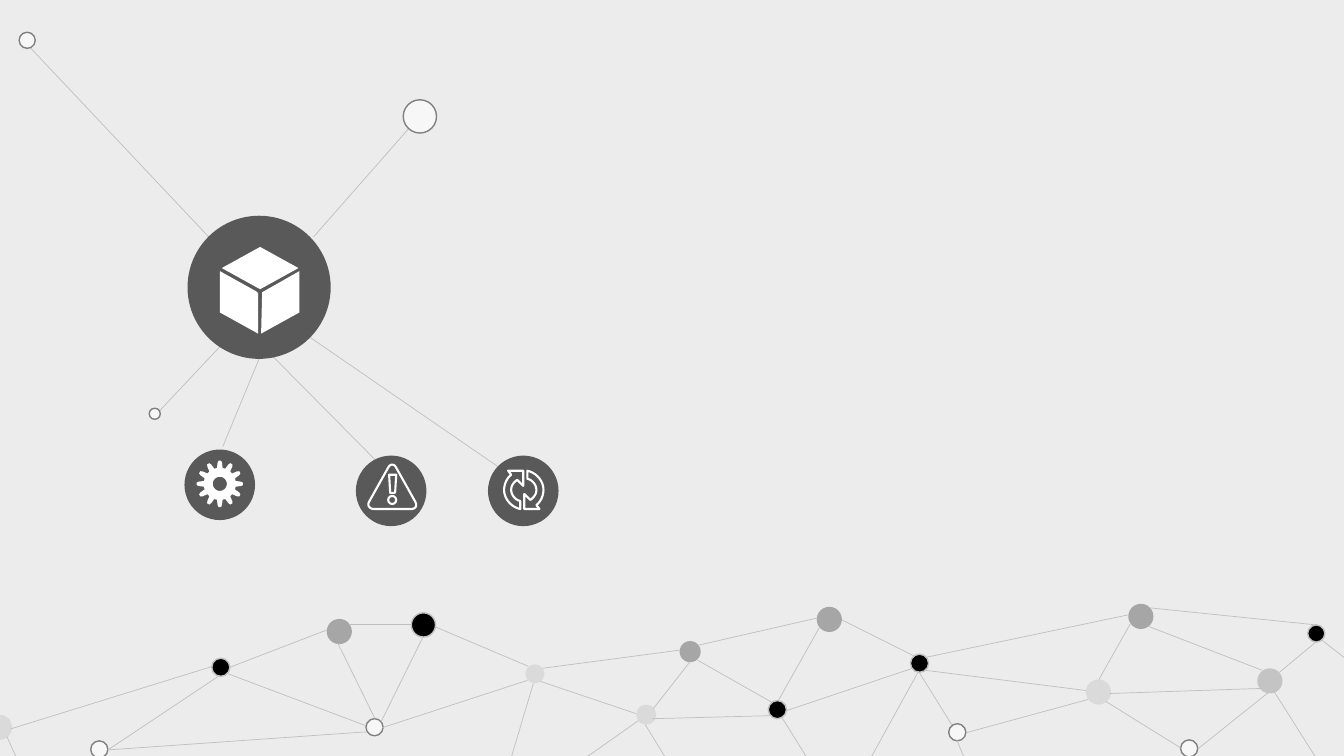
import math
from dataclasses import dataclass

import lxml.etree
import pptx
import pptx.dml.color
import pptx.enum.shapes
import pptx.oxml.ns
import pptx.util

Inches = pptx.util.Inches
OVAL = pptx.enum.shapes.MSO_SHAPE.OVAL
STRAIGHT = pptx.enum.shapes.MSO_CONNECTOR.STRAIGHT


@dataclass(frozen=True)
class Theme:
    back: str = "ECECEC"
    edge: str = "BFBFBF"
    black: str = "000000"
    grey: str = "A6A6A6"
    pale: str = "F7F7F7"
    rim: str = "808080"
    disc: str = "595959"
    icon: str = "FFFFFF"
    thin: float = 0.5
    ring: float = 1
    pen: float = 1.5


T = Theme()

# Dot styles: fill, outline, opacity in percent
SOLID = (T.black, T.edge, 100)
GREY = (T.grey, None, 100)
MID = (T.grey, None, 57)
FAINT = (T.grey, None, 25)
OPEN = (T.pale, T.rim, 100)

# Dots: left, top, size
DOTS = [
    (SOLID, [(2.1, 6.53, 0.18), (7.62, 6.95, 0.18), (9.03, 6.49, 0.18),
             (12.97, 6.2, 0.17), (4.08, 6.08, 0.24)]),
    (GREY, [(3.24, 6.14, 0.25), (6.74, 6.36, 0.21), (8.1, 6.02, 0.25),
            (11.19, 5.99, 0.25)]),
    (MID, [(12.47, 6.63, 0.25)]),
    (FAINT, [(10.77, 6.74, 0.25), (6.31, 6.99, 0.2), (5.21, 6.59, 0.19),
             (-0.13, 7.09, 0.25)]),
    (OPEN, [(0.9, 7.35, 0.17), (3.63, 7.13, 0.17), (9.41, 7.18, 0.17),
            (11.71, 7.34, 0.17)]),
]

# Edges: x1, y1, x2, y2
EDGES = [
    (2.11, 6.61, 0.11, 7.23), (2.28, 6.62, 3.24, 6.25), (1.07, 7.44, 2.18, 6.7),
    (12.52, 6.65, 11.38, 6.21), (11.4, 6.03, 13.06, 6.2), (10.9, 6.74, 11.21, 6.19),
    (3.72, 7.13, 3.35, 6.38), (6.31, 7.08, 5.36, 6.76), (9.05, 6.63, 7.8, 7.05),
    (11.19, 6.1, 9.19, 6.52), (3.63, 7.2, 2.25, 6.68), (3.78, 7.16, 4.19, 6.33),
    (6.93, 6.4, 8.11, 6.13), (7.72, 6.95, 8.13, 6.22), (9.07, 6.51, 8.35, 6.15),
    (10.77, 6.85, 9.18, 6.65), (9.58, 7.27, 10.79, 6.94), (3.79, 7.22, 5.23, 6.75),
    (1.07, 7.44, 3.64, 7.26), (5.24, 6.61, 4.32, 6.22), (9.44, 7.19, 9.11, 6.66),
    (8.08, 7.64, 7.75, 7.11), (13.06, 7.53, 12.63, 6.85), (6.74, 6.45, 5.38, 6.63),
    (6.84, 6.57, 6.48, 7.03), (6.92, 6.55, 7.66, 6.97), (6.47, 7.13, 7.64, 7.1),
    (6.33, 7.15, 5.48, 7.75), (6.72, 7.71, 6.4, 7.19), (12.5, 6.83, 11.01, 6.88),
    (12.58, 6.87, 11.88, 7.43), (10.97, 6.96, 11.71, 7.42), (9.11, 6.66, 8.57, 7.64),
    (9.49, 7.34, 9.64, 7.71), (13.05, 6.37, 12.69, 6.67), (13.11, 6.35, 13.57, 6.71),
    (5, 7.75, 5.29, 6.78), (3.46, 6.19, 4.08, 6.19), (0.25, 7.71, 0.07, 7.31),
]

# Spokes of the large hub, each with the open dot at its end
SPOKES = [
    ((3.11, 2.35, 4.05, 1.28), (4, 0.99, 0.33)),
    ((2.07, 2.35, 0.25, 0.42), (0.19, 0.32, 0.16)),
    ((1.56, 4.1, 2.19, 3.43), (1.48, 4.05, 0.11)),
]

# Icon outlines: a pair is a corner, six numbers are a cubic curve
SIGN = [(3.85, 4.64), (3.87, 4.6, 3.91, 4.6, 3.93, 4.64), (4.12, 4.98),
        (4.14, 5.02, 4.12, 5.05, 4.08, 5.05), (3.71, 5.05),
        (3.67, 5.05, 3.64, 5.02, 3.66, 4.98)]
MARK = [(3.86, 4.71), (3.93, 4.71), (3.92, 4.88),
        (3.92, 4.89, 3.91, 4.89, 3.9, 4.89), (3.88, 4.89),
        (3.87, 4.89, 3.87, 4.89, 3.87, 4.88)]
ARROW = [(5.04, 4.67), (5.19, 4.67), (5.19, 4.82), (5.13, 4.76),
         (5.09, 4.79, 5.07, 4.82, 5.07, 4.86),
         (5.07, 4.91, 5.11, 4.96, 5.16, 4.97), (5.16, 5.05),
         (5.07, 5.03, 5, 4.95, 5, 4.86),
         (5, 4.8, 5.03, 4.74, 5.07, 4.71)]
CUBE = [
    [(2.58, 2.45), (2.96, 2.66), (2.58, 2.87), (2.2, 2.66)],
    [(2.18, 2.69), (2.54, 2.89), (2.56, 2.91), (2.56, 3.31), (2.18, 3.1)],
    [(2.97, 2.69), (2.97, 3.1), (2.59, 3.31), (2.6, 2.9)],
]


def color(tone):
    return pptx.dml.color.RGBColor.from_string(tone)


def paint(shape, fill=None, line=None, width=T.ring, alpha=100):
    shape.shadow.inherit = False
    if fill:
        shape.fill.solid()
        shape.fill.fore_color.rgb = color(fill)
    else:
        shape.fill.background()
    if line:
        shape.line.color.rgb = color(line)
        shape.line.width = pptx.util.Pt(width)
    else:
        shape.line.fill.background()
    if alpha < 100:
        tone = shape.fill._xPr.find(".//" + pptx.oxml.ns.qn("a:srgbClr"))
        lxml.etree.SubElement(tone, pptx.oxml.ns.qn("a:alpha"), val=str(alpha * 1000))


def add_dot(shapes, left, top, size, **look):
    dot = shapes.add_shape(OVAL, *map(Inches, (left, top, size, size)))
    paint(dot, **look)


def add_edge(shapes, ends):
    edge = shapes.add_connector(STRAIGHT, *map(Inches, ends))
    edge.line.color.rgb = color(T.edge)
    edge.line.width = pptx.util.Pt(T.thin)
    lxml.etree.SubElement(edge._element.spPr, pptx.oxml.ns.qn("a:effectLst"))


def flatten(outline, steps=12):
    """Turn corners and cubic curves into a list of points."""
    points = []
    for part in outline:
        if len(part) == 2:
            points.append(part)
            continue
        knots = [points[-1], part[:2], part[2:4], part[4:]]
        for step in range(1, steps + 1):
            t = step / steps
            weights = [math.comb(3, i) * t**i * (1 - t)**(3 - i) for i in range(4)]
            points.append(tuple(sum(w * k[axis] for w, k in zip(weights, knots))
                                for axis in (0, 1)))
    return points


def add_form(shapes, outlines, **look):
    """Draw one freeform from one or more closed outlines."""
    loops = [[(Inches(x), Inches(y)) for x, y in flatten(o)] for o in outlines]
    pen = shapes.build_freeform(*loops[0][0])
    for i, loop in enumerate(loops):
        if i:
            pen.move_to(*loop[0])
        pen.add_line_segments(loop[1:], close=True)
    paint(pen.convert_to_shape(), **look)


def gear(x, y, teeth=12):
    """Return the toothed rim and the round hole of a gear."""
    def spot(angle, radius):
        turn = math.radians(angle)
        return x + radius * math.cos(turn), y + radius * math.sin(turn)

    tooth = [(-10, 0.16), (-6, 0.21), (-3, 0.23), (3, 0.23), (6, 0.21), (10, 0.16)]
    rim = [spot(360 / teeth * i + a, r) for i in range(teeth) for a, r in tooth]
    return [rim, [spot(a, 0.07) for a in range(360, 0, -10)]]


def add_hub(slide, left, top, size, spoke=None):
    """Group a dark disc with its spoke and return the group's shapes."""
    shapes = slide.shapes.add_group_shape().shapes
    if spoke:
        add_edge(shapes, spoke)
    add_dot(shapes, left, top, size, fill=T.disc)
    return shapes


def main():
    deck = pptx.Presentation()
    deck.slide_width, deck.slide_height = Inches(13.33), Inches(7.5)
    slide = deck.slides.add_slide(deck.slide_layouts[6])
    slide.background.fill.solid()
    slide.background.fill.fore_color.rgb = color(T.back)

    for (fill, line, alpha), places in DOTS:
        for place in places:
            add_dot(slide.shapes, *place, fill=fill, line=line, alpha=alpha)
    for ends in EDGES:
        add_edge(slide.shapes, ends)
    for ends, place in SPOKES:
        add_edge(slide.shapes, ends)
        add_dot(slide.shapes, *place, fill=T.pale, line=T.rim)

    stroke = {"line": T.icon, "width": T.pen}
    alert = add_hub(slide, 3.53, 4.52, 0.7, (3.74, 4.58, 2.7, 3.53))
    add_form(alert, [SIGN], **stroke)
    add_form(alert, [MARK], **stroke)
    add_dot(alert, 3.85, 4.92, 0.08, **stroke)

    cycle = add_hub(slide, 4.84, 4.52, 0.7, (4.94, 4.63, 3.08, 3.35))
    left = flatten(ARROW)
    right = [(2 * 5.195 - x, 2 * 4.86 - y) for x, y in left]
    for arrow in (left, right):
        add_form(cycle, [arrow], **stroke)

    setup = add_hub(slide, 1.83, 4.46, 0.7, (2.21, 4.43, 2.57, 3.56))
    add_form(setup, gear(2.18, 4.8), fill=T.icon)

    core = add_hub(slide, 1.86, 2.14, 1.42)
    add_form(core, CUBE, fill=T.icon)
    deck.save("out.pptx")


if __name__ == "__main__":
    main()
